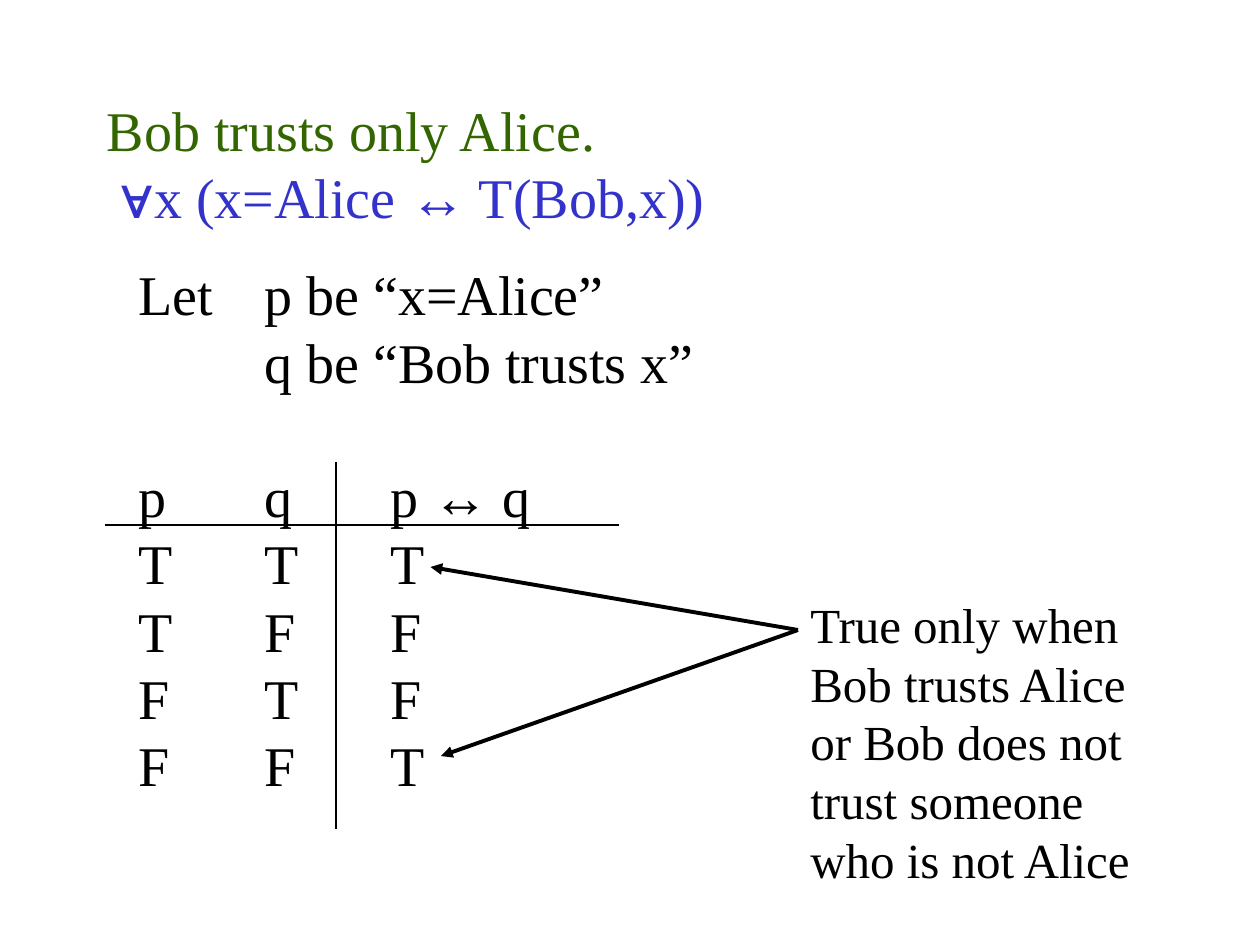
from lxml import etree
from pptx import Presentation
from pptx.dml.color import RGBColor
from pptx.enum import shapes, text
from pptx.oxml.ns import qn
from pptx.util import Pt

SERIF, SANS = "Times New Roman", "Arial"
BLACK, GREEN, BLUE = "000000", "336600", "3333CC"
TAB_STOPS = [72, 144]

CLAIM = [
    ("Bob trusts only Alice.\v ", {"color": GREEN}),
    ("∀", {"color": BLUE, "font": SANS, "bold": True}),
    ("x (x=Alice ", {"color": BLUE}),
    ("↔", {"color": BLUE, "font": SANS}),
    (" T(Bob,x))", {"color": BLUE}),
]
DEFINITIONS = ["Let \tp be “x=Alice”", "\tq be “Bob trusts x”"]
TRUTH_HEADER = [("p\tq\tp ", {}), ("↔", {"font": SANS}), (" q", {})]
TRUTH_ROWS = ["TTT", "TFF", "FTF", "FFT"]
REMARK = "True only when Bob trusts Alice or Bob does not trust someone who is not Alice"

RULES = [((60, 300), (354, 300)), ((192, 264), (192, 474))]
REMARK_POINT = (456, 360)
TRUE_RESULTS = [(252, 432), (246, 324)]


def rgb(value):
    return RGBColor.from_string(value)


def add_run(paragraph, words, size=32, font=SERIF, color=BLACK, bold=False):
    """Append text in one format; a vertical tab becomes a line break."""
    for i, part in enumerate(words.split("\v")):
        if i:
            paragraph.add_line_break()
        run = paragraph.add_run()
        run.text = part
        run.font.size, run.font.name, run.font.bold = Pt(size), font, bold
        run.font.color.rgb = rgb(color)


def add_text(slide, box, paragraphs, wrap=True, anchor=text.MSO_ANCHOR.TOP,
             gaps=None, **style):
    """Add paragraphs of (words, format) runs; gaps maps index to space before."""
    frame = slide.shapes.add_textbox(*map(Pt, box)).text_frame
    frame.word_wrap, frame.vertical_anchor = wrap, anchor
    for i, runs in enumerate(paragraphs):
        paragraph = frame.paragraphs[0] if i == 0 else frame.add_paragraph()
        tabs = etree.SubElement(paragraph._p.get_or_add_pPr(), qn("a:tabLst"))
        for stop in TAB_STOPS:
            etree.SubElement(tabs, qn("a:tab"), pos=str(Pt(stop)), algn="l")
        if gaps and i in gaps:
            paragraph.space_before = Pt(gaps[i])
        for words, run_format in runs:
            add_run(paragraph, words, **{**style, **run_format})


def add_line(slide, start, end, width, arrow=False):
    line = slide.shapes.add_connector(
        shapes.MSO_CONNECTOR.STRAIGHT, *map(Pt, start + end))
    line.line.width = Pt(width)
    line.line.color.rgb = rgb(BLACK)
    if arrow:
        etree.SubElement(line.line._get_or_add_ln(), qn("a:tailEnd"), type="triangle")
    etree.SubElement(line._element.spPr, qn("a:effectLst"))


def main():
    deck = Presentation()
    deck.slide_width, deck.slide_height = Pt(720), Pt(540)
    slide = deck.slides.add_slide(deck.slide_layouts[6])

    add_text(slide, (54, 48, 612, 90), [CLAIM], anchor=text.MSO_ANCHOR.MIDDLE)
    plain_lines = [[(words, {})] for words in DEFINITIONS]
    truth_lines = [[("\t".join(row), {})] for row in TRUTH_ROWS]
    add_text(slide, (72, 145, 332, 315), plain_lines + [TRUTH_HEADER] + truth_lines,
             wrap=False, gaps={len(DEFINITIONS): 38.4})
    add_text(slide, (456, 336, 222, 176), [[(REMARK, {})]], size=28)

    for start, end in RULES:
        add_line(slide, start, end, 0.75)
    for result in TRUE_RESULTS:
        add_line(slide, REMARK_POINT, result, 2.25, arrow=True)

    deck.save("out.pptx")


if __name__ == "__main__":
    main()
